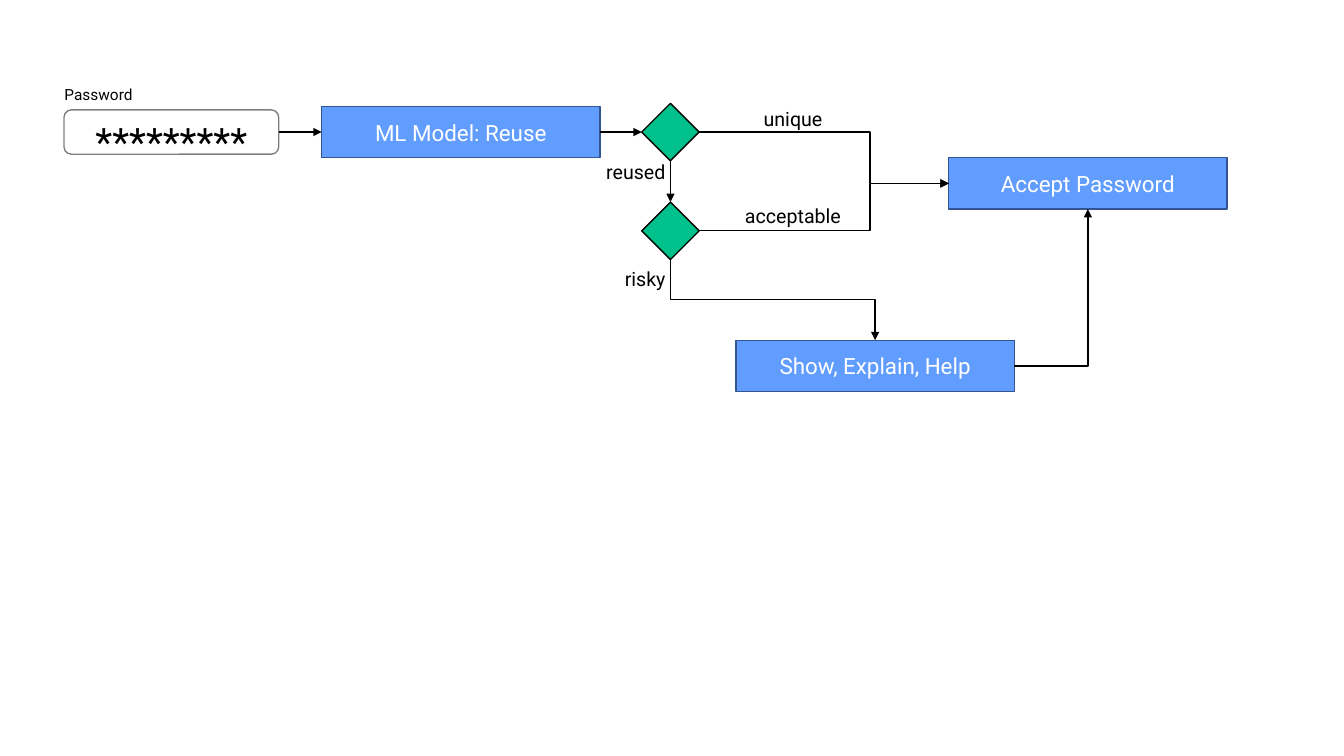
from pptx import Presentation
from pptx.dml.color import RGBColor
from pptx.enum.shapes import MSO_CONNECTOR as CXN, MSO_SHAPE as SHAPE
from pptx.enum.text import MSO_ANCHOR as ANCHOR, MSO_AUTO_SIZE as AUTO, PP_ALIGN as ALIGN
from pptx.oxml.ns import qn
from pptx.util import Inches, Pt
from lxml.etree import SubElement

THEME = {
    "font": "Roboto",
    "black": "000000",
    "white": "FFFFFF",
    "step": "619CFF",
    "step_line": "325491",
    "decision": "00C08B",
    "field_line": "808080",
    "step_size": 16,
    "label_size": 14,
    "caption_size": 11,
    "field_size": 28,
    "line": 1,
}
STYLES = {
    "step": (SHAPE.RECTANGLE, 2.76, 0.51, "step", "step_line", "white", "step_size", ANCHOR.MIDDLE),
    "decision": (SHAPE.DIAMOND, 0.57, 0.57, "decision", "black", "black", "label_size", ANCHOR.MIDDLE),
    "field": (SHAPE.ROUNDED_RECTANGLE, 2.13, 0.44, "white", "field_line", "black", "field_size", ANCHOR.TOP),
}
NODES = {
    "password": ("field", 1.7, 1.31, "*********"),
    "model": ("step", 4.57, 1.31, "ML Model: Reuse"),
    "reuse": ("decision", 6.65, 1.31, ""),
    "risk": ("decision", 6.65, 2.29, ""),
    "help": ("step", 8.68, 3.63, "Show, Explain, Help"),
    "accept": ("step", 10.79, 1.82, "Accept Password"),
}
LABELS = [
    ("Password", 0.54, 0.8, 0.89, 0.29, ALIGN.LEFT, "caption_size"),
    ("unique", 7.47, 1.01, 0.79, 0.34, ALIGN.CENTER, "label_size"),
    ("reused", 5.9, 1.54, 0.8, 0.34, ALIGN.RIGHT, "label_size"),
    ("acceptable", 7.24, 1.97, 1.25, 0.34, ALIGN.CENTER, "label_size"),
    ("risky", 6.09, 2.6, 0.61, 0.34, ALIGN.RIGHT, "label_size"),
]
TOP, LEFT, BOTTOM, RIGHT = range(4)
ARROWS = [
    ("password", RIGHT, "model", LEFT, "line", None),
    ("model", RIGHT, "reuse", LEFT, "line", None),
    ("reuse", BOTTOM, "risk", TOP, "line", None),
    ("reuse", RIGHT, "accept", LEFT, "bentConnector3", 68400),
    ("risk", RIGHT, "accept", LEFT, "bentConnector3", 68400),
    ("risk", BOTTOM, "help", TOP, "bentConnector3", 50000),
    ("help", RIGHT, "accept", BOTTOM, "bentConnector2", None),
]


def color(name):
    return RGBColor.from_string(THEME[name])


def write(tf, text, size, ink, align):
    p = tf.paragraphs[0]
    p.alignment = align
    r = p.add_run()
    r.text = text
    r.font.name = THEME["font"]
    r.font.size = Pt(THEME[size])
    r.font.color.rgb = color(ink)


def add_node(slide, style, cx, cy, text):
    kind, w, h, fill, line, ink, size, anchor = STYLES[style]
    s = slide.shapes.add_shape(kind, Inches(cx - w / 2), Inches(cy - h / 2), Inches(w), Inches(h))
    s.shadow.inherit = False
    s.fill.solid()
    s.fill.fore_color.rgb = color(fill)
    s.line.color.rgb = color(line)
    s.line.width = Pt(THEME["line"])
    if text:
        s.text_frame.vertical_anchor = anchor
        write(s.text_frame, text, size, ink, ALIGN.CENTER)
    return s


def add_label(slide, text, x, y, w, h, align, size):
    tf = slide.shapes.add_textbox(Inches(x), Inches(y), Inches(w), Inches(h)).text_frame
    tf.word_wrap = False
    tf.auto_size = AUTO.SHAPE_TO_FIT_TEXT
    write(tf, text, size, "black", align)


def turn_downward(s, xfrm):
    x, y, w, h = s.left, s.top, s.width, s.height
    s.left, s.top = x + (w - h) // 2, y + (h - w) // 2
    s.width, s.height = h, w
    xfrm.set("rot", "16200000")
    xfrm.set("flipH", "1")


def add_arrow(slide, start, start_site, end, end_site, preset, bend):
    kind = CXN.STRAIGHT if preset == "line" else CXN.ELBOW
    s = slide.shapes.add_connector(kind, 0, 0, 0, 0)
    s.begin_connect(start, start_site)
    s.end_connect(end, end_site)
    s.line.color.rgb = color("black")
    s.line.width = Pt(THEME["line"])
    props = s._element.spPr
    SubElement(props.find(qn("a:ln")), qn("a:tailEnd"), type="triangle")
    SubElement(props, qn("a:effectLst"))
    geom = props.find(qn("a:prstGeom"))
    geom.set("prst", preset)
    if bend:
        SubElement(geom.find(qn("a:avLst")), qn("a:gd"), name="adj1", fmla=f"val {bend}")
        if start_site == BOTTOM:
            turn_downward(s, props.find(qn("a:xfrm")))


def main():
    prs = Presentation()
    prs.slide_width, prs.slide_height = Inches(13.33), Inches(7.5)
    slide = prs.slides.add_slide(prs.slide_layouts[6])
    nodes = {name: add_node(slide, *node) for name, node in NODES.items()}
    for start, start_site, end, end_site, preset, bend in ARROWS:
        add_arrow(slide, nodes[start], start_site, nodes[end], end_site, preset, bend)
    for label in LABELS:
        add_label(slide, *label)
    prs.save("out.pptx")


if __name__ == "__main__":
    main()
